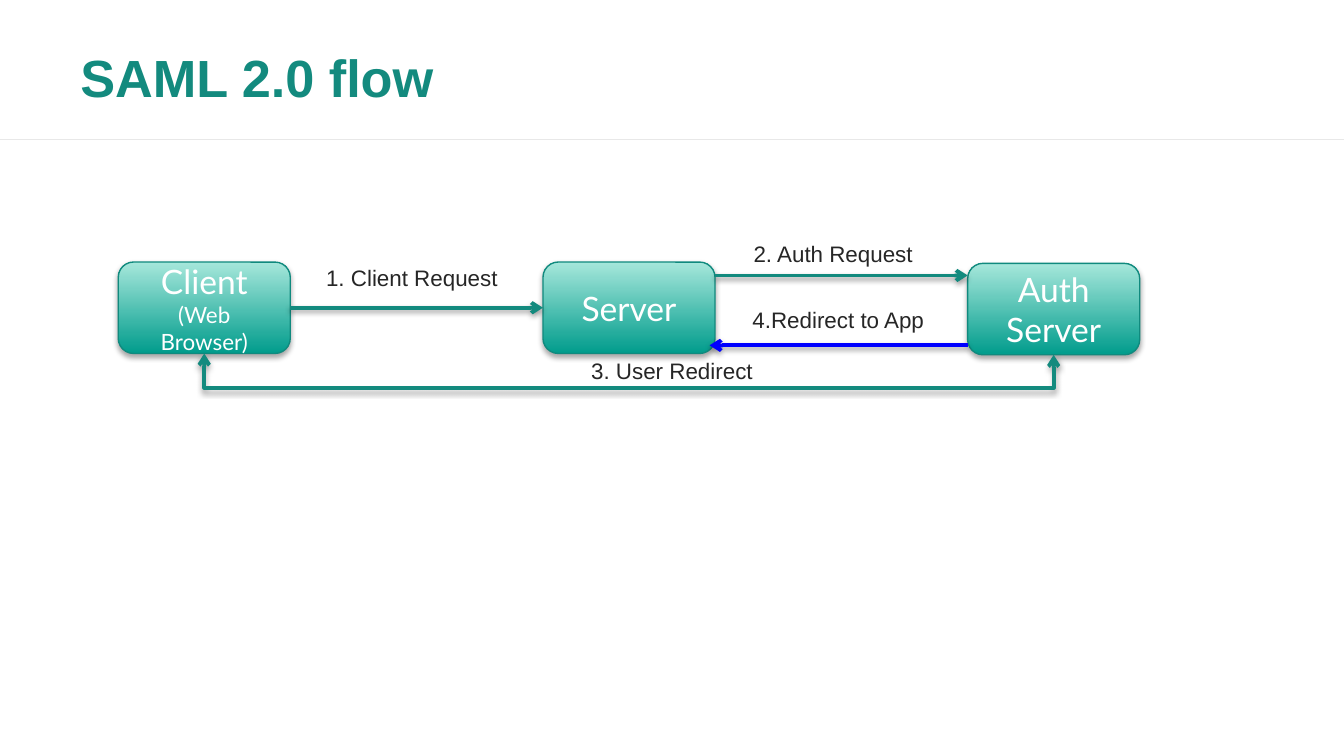
"""Build a one-slide diagram of the SAML 2.0 flow."""
from lxml import etree
from pptx import Presentation
from pptx.dml.color import RGBColor
from pptx.enum.shapes import MSO_CONNECTOR, MSO_SHAPE
from pptx.enum.text import MSO_ANCHOR, PP_ALIGN
from pptx.oxml.ns import qn
from pptx.util import Inches, Pt

STRAIGHT, ELBOW = MSO_CONNECTOR.STRAIGHT, MSO_CONNECTOR.ELBOW
ROUNDED = MSO_SHAPE.ROUNDED_RECTANGLE
LEFT, CENTER = PP_ALIGN.LEFT, PP_ALIGN.CENTER
TOP, MIDDLE = MSO_ANCHOR.TOP, MSO_ANCHOR.MIDDLE

W = 10
H = W * 9 / 16
C = {"teal": "138A7E", "edge": "108A7E", "dark": "019C8C", "light": "A6E7DB",
     "rule": "E8E8E8", "blue": "0000FF", "ink": "262626", "white": "FFFFFF"}

BOX_W, BOX_H = 1.28, 0.68
X0, STEP, ROW = 0.88, 3.16, 1.95
CLIENT, SERVER, AUTH = (X0 + i * STEP for i in range(3))
AUTH_TOP = ROW + 0.01
DROP = 0.25

NODES = [
    (CLIENT, ROW, [("Client", 18), ("(Web Browser)", 12)]),
    (SERVER, ROW, [("Server", 18)]),
    (AUTH, AUTH_TOP, [("Auth Server", 18)]),
]
ARROWS = [
    (CLIENT + BOX_W, SERVER, ROW + BOX_H / 2, "teal"),
    (SERVER + BOX_W, AUTH, 2.05, "teal"),
    (AUTH, SERVER + BOX_W - 0.04, 2.57, "blue"),
]
LABELS = [
    ("1. Client Request", 2.32, 1.92, 1.49, 0.3, CENTER, False),
    ("3. User Redirect", 4.29, 2.61, 1.42, 0.3, CENTER, False),
    ("2. Auth Request", 5.5, 1.74, 1.4, 0.3, CENTER, False),
    ("4.Redirect to App", 5.5, 2.23, 1.51, 0.61, LEFT, True),
]


def rgb(name):
    return RGBColor.from_string(C[name])


def write(sp, lines, font="Arial", color="ink", bold=False, align=LEFT,
          anchor=TOP, wrap=True):
    tf = sp.text_frame
    tf.word_wrap, tf.vertical_anchor = wrap, anchor
    for i, (text, size) in enumerate(lines):
        p = tf.add_paragraph() if i else tf.paragraphs[0]
        p.alignment = align
        r = p.add_run()
        r.text = text
        r.font.name, r.font.size, r.font.bold = font, Pt(size), bold
        r.font.color.rgb = rgb(color)


def effects(sp, alpha=0, dist=0):
    pr = sp._element.spPr
    effect = etree.SubElement(pr, qn("a:effectLst"))
    if alpha:
        shadow = etree.SubElement(effect, qn("a:outerShdw"), blurRad=str(Pt(3.1)),
                                  dist=str(Pt(dist)), dir="5400000", rotWithShape="0")
        color = etree.SubElement(shadow, qn("a:srgbClr"), val="000000")
        etree.SubElement(color, qn("a:alpha"), val=str(alpha * 1000))


def connect(s, kind, x1, y1, x2, y2, color, width=2, ends=()):
    cx = s.shapes.add_connector(kind, *map(Inches, (x1, y1, x2, y2)))
    cx.line.color.rgb, cx.line.width = rgb(color), Pt(width)
    for end in ends:
        etree.SubElement(cx.line._get_or_add_ln(), qn(f"a:{end}"), type="arrow")
    effects(cx, *((38, 1.6) if ends else ()))
    return cx


def connect_below(s, x1, y1, x2, y2, drop):
    mid_x, mid_y = (x1 + x2) / 2, (y1 + y2) / 2
    span, rise = x1 - x2, y1 - y2
    cx = connect(s, ELBOW, mid_x + rise / 2, mid_y - span / 2, mid_x - rise / 2,
                 mid_y + span / 2, "teal", ends=("headEnd", "tailEnd"))
    pr = cx._element.spPr
    pr.find(qn("a:xfrm")).set("rot", "5400000")
    guides = pr.find(qn("a:prstGeom")).get_or_add_avLst()
    etree.SubElement(guides, qn("a:gd"), name="adj1",
                     fmla=f"val {round(-drop / rise * 100000)}")


def add_node(s, x, y, lines):
    sp = s.shapes.add_shape(ROUNDED, *map(Inches, (x, y, BOX_W, BOX_H)))
    sp.fill.gradient()
    sp.fill.gradient_angle = 90
    for stop, color, pos in zip(sp.fill.gradient_stops, ("dark", "light"), (0, 1)):
        stop.color.rgb, stop.position = rgb(color), pos
    sp.line.color.rgb, sp.line.width = rgb("edge"), Pt(0.75)
    effects(sp, 35, 1.8)
    write(sp, lines, font="Lato", color="white", align=CENTER, anchor=MIDDLE)


def add_text(s, text, x, y, w, h, size=12, **fmt):
    sp = s.shapes.add_textbox(*map(Inches, (x, y, w, h)))
    write(sp, [(text, size)], **fmt)


def main():
    prs = Presentation()
    prs.slide_width, prs.slide_height = Inches(W), Inches(H)
    s = prs.slides.add_slide(prs.slide_layouts[6])
    connect(s, STRAIGHT, 0, 1.04, W, 1.04, "rule", 0.75)
    add_text(s, "SAML 2.0 flow", 0.5, 0.37, 7.29, 0.4, size=28, color="teal",
             bold=True, anchor=MIDDLE)
    for node in NODES:
        add_node(s, *node)
    for x1, x2, y, color in ARROWS:
        connect(s, STRAIGHT, x1, y, x2, y, color, ends=("tailEnd",))
    connect_below(s, AUTH + BOX_W / 2, AUTH_TOP + BOX_H,
                  CLIENT + BOX_W / 2, ROW + BOX_H, DROP)
    for text, x, y, w, h, align, wrap in LABELS:
        add_text(s, text, x, y, w, h, align=align, wrap=wrap)
    prs.save("out.pptx")


if __name__ == "__main__":
    main()
